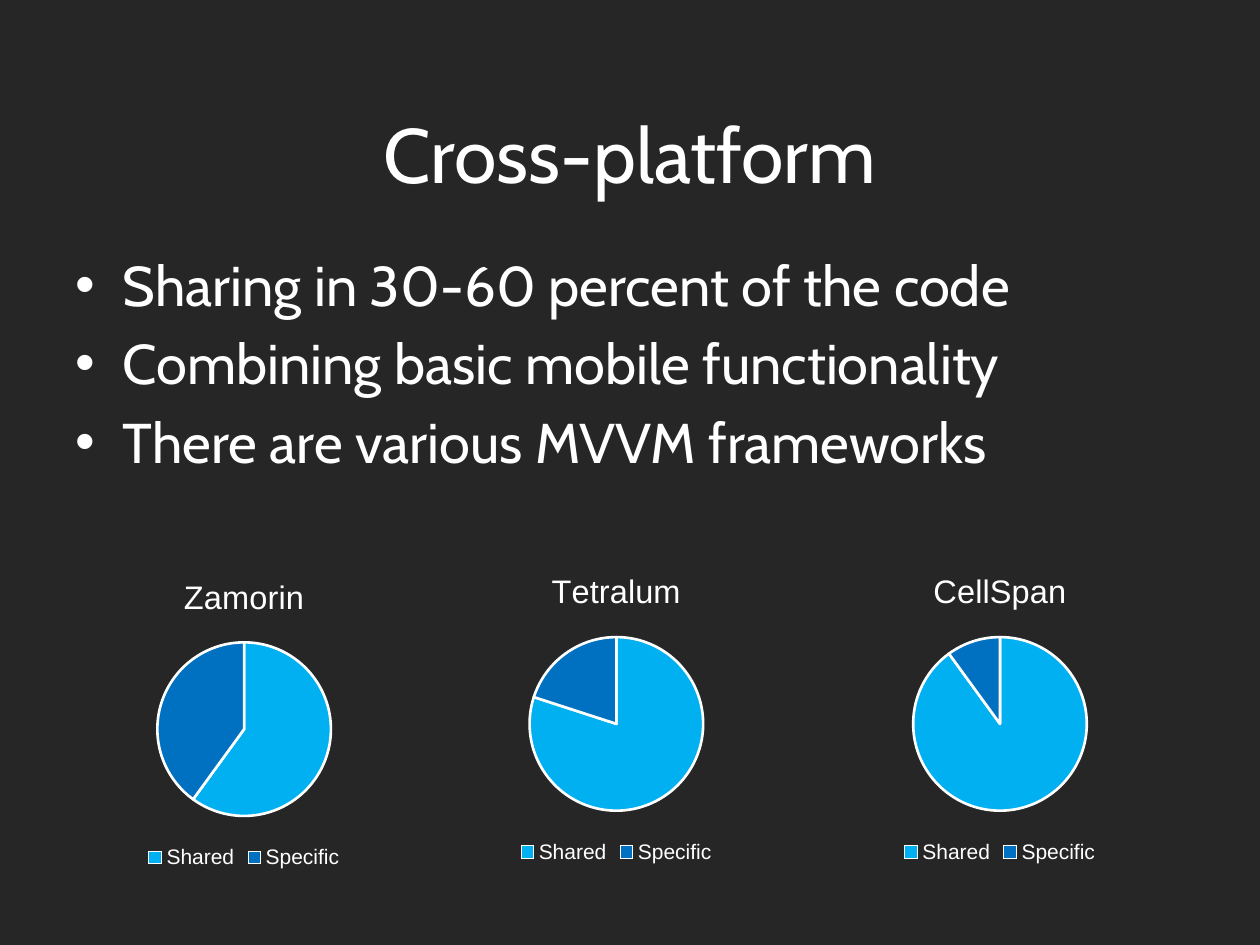
from dataclasses import dataclass

import pptx
import pptx.chart.data
import pptx.dml.color
import pptx.enum.chart
import pptx.enum.text
import pptx.oxml
import pptx.oxml.ns
import pptx.util

Pt = pptx.util.Pt


@dataclass(frozen=True)
class Theme:
    background: str = "262626"
    text: str = "FFFFFF"
    slices: tuple = ("00B0F0", "0070C0")
    text_font: str = "Cabin"
    chart_font: str = "Arial"
    title_size: float = 44
    body_size: float = 32
    chart_title_size: float = 18.6
    legend_size: float = 12
    chart_size: float = 10
    outline: float = 1.5


THEME = Theme()


def color(value):
    return pptx.dml.color.RGBColor.from_string(value)


def format_font(font, name, size):
    font.name = name
    font.size = Pt(size)
    font.bold = False
    font.color.rgb = color(THEME.text)


def write_text(frame, lines, font, size, align=None, space_before=0):
    frame.word_wrap = True
    for index, line in enumerate(lines):
        paragraph = frame.paragraphs[0] if index == 0 else frame.add_paragraph()
        if align is not None:
            paragraph.alignment = align
        paragraph.space_before = Pt(space_before if index else 0)
        run = paragraph.add_run()
        run.text = line
        format_font(run.font, font, size)


def place(shape, box):
    shape.left, shape.top, shape.width, shape.height = map(Pt, box)
    shape.text_frame.auto_size = pptx.enum.text.MSO_AUTO_SIZE.NONE
    shape.text_frame.vertical_anchor = pptx.enum.text.MSO_ANCHOR.TOP


def fill_title(slide, box, text):
    shape = slide.shapes.title
    place(shape, box)
    write_text(shape.text_frame, [text], THEME.text_font, THEME.title_size,
               align=pptx.enum.text.PP_ALIGN.CENTER)


def fill_body(slide, box, lines):
    shape = slide.placeholders[1]
    place(shape, box)
    write_text(shape.text_frame, lines, THEME.text_font, THEME.body_size,
               space_before=THEME.body_size * 0.2)


def set_plot_area(chart, x, y, w, h):
    plot_area = chart._chartSpace.chart.plotArea
    for layout in plot_area.findall(pptx.oxml.ns.qn("c:layout")):
        plot_area.remove(layout)
    sizes = "".join(f'<c:{tag} val="{value}"/>'
                    for tag, value in zip("xywh", (x, y, w, h)))
    plot_area.insert(0, pptx.oxml.parse_xml(
        f'<c:layout {pptx.oxml.ns.nsdecls("c")}><c:manualLayout>'
        '<c:layoutTarget val="inner"/><c:xMode val="edge"/><c:yMode val="edge"/>'
        f'{sizes}</c:manualLayout></c:layout>'))


def add_share_pie(slide, box, name, shared):
    data = pptx.chart.data.CategoryChartData()
    data.categories = ["Shared", "Specific"]
    data.add_series(name, [shared, 100 - shared])
    chart = slide.shapes.add_chart(
        pptx.enum.chart.XL_CHART_TYPE.PIE, *map(Pt, box), data).chart
    format_font(chart.font, THEME.chart_font, THEME.chart_size)

    chart.has_title = True
    write_text(chart.chart_title.text_frame, [name],
               THEME.chart_font, THEME.chart_title_size)
    chart.chart_title.include_in_layout = False

    chart.has_legend = True
    chart.legend.position = pptx.enum.chart.XL_LEGEND_POSITION.BOTTOM
    chart.legend.include_in_layout = False
    format_font(chart.legend.font, THEME.chart_font, THEME.legend_size)

    plot = chart.plots[0]
    plot.vary_by_categories = True
    for index, slice_color in enumerate(THEME.slices):
        point = plot.series[0].points[index].format
        point.fill.solid()
        point.fill.fore_color.rgb = color(slice_color)
        point.line.color.rgb = color(THEME.text)
        point.line.width = Pt(THEME.outline)
    set_plot_area(chart, 0.28, 0.27, 0.44, 0.55)


def main():
    presentation = pptx.Presentation()
    presentation.slide_width, presentation.slide_height = Pt(720), Pt(540)
    slide = presentation.slides.add_slide(presentation.slide_layouts[1])
    slide.background.fill.solid()
    slide.background.fill.fore_color.rgb = color(THEME.background)

    fill_title(slide, (36, 57, 648, 90), "Cross-platform")
    fill_body(slide, (36, 139.5, 648, 356), [
        "Sharing in 30-60 percent of the code",
        "Combining basic mobile functionality",
        "There are various MVVM frameworks",
    ])
    for name, shared, left, top in (
        ("Zamorin", 60, 26.8, 317.8),
        ("Tetralum", 80, 239.5, 314.8),
        ("CellSpan", 90, 458.7, 314.8),
    ):
        add_share_pie(slide, (left, top, 225.5, 181.5), name, shared)
    presentation.save("out.pptx")


if __name__ == "__main__":
    main()
